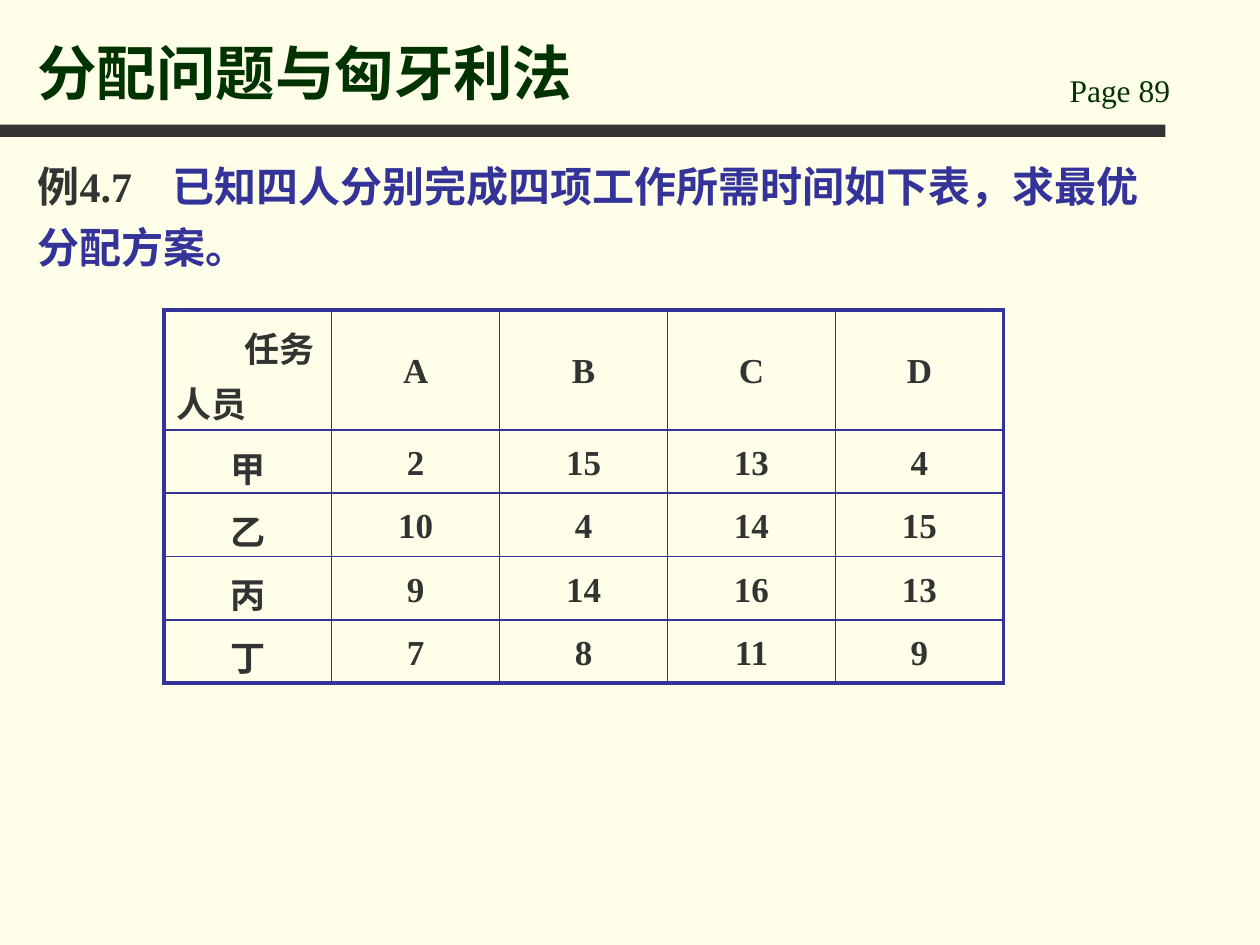
from dataclasses import dataclass

from lxml import etree
from pptx import Presentation
from pptx import util as u
from pptx.dml.color import RGBColor
from pptx.enum import lang, shapes, text
from pptx.oxml import ns

WIDTH, HEIGHT = u.Inches(10), u.Inches(7.5)
FONT = "Times New Roman"
PAPER, INK, GREEN, BLUE = "FFFFE9", "333333", "003300", "333399"
THICK, THIN = 2.25, 1
COLUMN_SHARE, HEADER_SHARE, ROW_SHARE = 0.1333, 0.127, 0.067
TASKS = ["A", "B", "C", "D"]
TIMES = {
    "甲": [2, 15, 13, 4],
    "乙": [10, 4, 14, 15],
    "丙": [9, 14, 16, 13],
    "丁": [7, 8, 11, 9],
}


@dataclass
class Area:
    """A rectangle given as shares of the slide's width and height."""

    left: float
    top: float
    width: float
    height: float

    def lengths(self) -> list[int]:
        """Return left, top, width and height as slide lengths."""
        return [
            int(share * size)
            for share, size in zip(
                (self.left, self.top, self.width, self.height),
                (WIDTH, HEIGHT, WIDTH, HEIGHT),
            )
        ]


@dataclass
class Span:
    """A run of text with one format."""

    words: str
    size: float
    color: str = INK
    bold: bool = True


@dataclass
class Spacing:
    """Line spacing, and space before as a share of the text size."""

    lines: float = 1
    before: float = 0


@dataclass
class Label:
    """A text box with one paragraph."""

    area: Area
    spans: list[Span]
    anchor: text.MSO_ANCHOR = text.MSO_ANCHOR.TOP
    spacing: Spacing | None = None
    tab: float = 0


CELL_SPACING = Spacing(1.1)
LABELS = [
    Label(Area(0.839, 0.069, 0.142, 0.053), [Span("Page 89", 18, GREEN, False)]),
    Label(
        Area(0.02, 0.016, 0.803, 0.104),
        [Span("分配问题与匈牙利法", 34, GREEN)],
        anchor=text.MSO_ANCHOR.BOTTOM,
    ),
    Label(
        Area(0.02, 0.153, 0.906, 0.147),
        [
            Span("例4.7\t", 24),
            Span("已知四人分别完成四项工作所需时间如下表，求最优分配方案。", 24, BLUE),
        ],
        spacing=Spacing(1.2, 0.15),
        tab=0.107,
    ),
]


def rgb(value: str) -> RGBColor:
    """Turn a hex string into a colour."""
    return RGBColor.from_string(value)


def apply(target, values: dict) -> None:
    """Set each named attribute of the target."""
    for name, value in values.items():
        setattr(target, name, value)


def write(para, spans: list[Span], spacing: Spacing | None,
          align=text.PP_ALIGN.LEFT) -> None:
    """Fill a paragraph with formatted spans."""
    para.alignment = align
    if spacing:
        before = u.Pt(spacing.before * spans[0].size)
        apply(para, {"line_spacing": spacing.lines, "space_before": before})
    for span in spans:
        run = para.add_run()
        run.text = span.words
        apply(run.font, {
            "name": FONT,
            "size": u.Pt(span.size),
            "bold": span.bold,
            "language_id": lang.MSO_LANGUAGE_ID.SIMPLIFIED_CHINESE,
        })
        run.font.color.rgb = rgb(span.color)


def add_label(page, label: Label) -> None:
    """Add a wrapped text box."""
    frame = page.shapes.add_textbox(*label.area.lengths()).text_frame
    apply(frame, {"word_wrap": True, "vertical_anchor": label.anchor})
    para = frame.paragraphs[0]
    write(para, label.spans, label.spacing)
    if label.tab:
        stops = etree.SubElement(para._p.get_or_add_pPr(), ns.qn("a:tabLst"))
        position = str(int(label.tab * WIDTH))
        etree.SubElement(stops, ns.qn("a:tab"), pos=position, algn="l")


def add_rule(page, area: Area) -> None:
    """Add the solid bar under the title."""
    bar = page.shapes.add_shape(shapes.MSO_SHAPE.RECTANGLE, *area.lengths())
    bar.shadow.inherit = False
    bar.fill.solid()
    bar.fill.fore_color.rgb = rgb(INK)
    bar.line.fill.background()


def set_borders(cell, weights: dict[str, float]) -> None:
    """Draw the cell's sides in the given order and weights."""
    properties = cell._tc.get_or_add_tcPr()
    for index, (side, weight) in enumerate(weights.items()):
        line = etree.Element(ns.qn(f"a:ln{side}"), w=str(u.Pt(weight)))
        fill = etree.SubElement(line, ns.qn("a:solidFill"))
        etree.SubElement(fill, ns.qn("a:srgbClr"), val=BLUE)
        properties.insert(index, line)


def add_times(page, left: float, top: float) -> None:
    """Add the table of working times by person and task."""
    rows = [["", *TASKS]] + [[name, *map(str, row)] for name, row in TIMES.items()]
    last_row, last_column = len(rows) - 1, len(TASKS)
    area = Area(left, top, COLUMN_SHARE * len(rows[0]),
                HEADER_SHARE + ROW_SHARE * len(TIMES))
    table = page.shapes.add_table(len(rows), len(rows[0]), *area.lengths()).table
    apply(table, {"first_row": False, "horz_banding": False})
    for column in table.columns:
        column.width = int(COLUMN_SHARE * WIDTH)
    for r, words in enumerate(rows):
        table.rows[r].height = int((ROW_SHARE if r else HEADER_SHARE) * HEIGHT)
        for c, word in enumerate(words):
            cell = table.cell(r, c)
            cell.vertical_anchor = text.MSO_ANCHOR.MIDDLE
            cell.fill.background()
            set_borders(cell, {
                "L": THIN if c else THICK,
                "R": THICK if c == last_column else THIN,
                "T": THIN if r else THICK,
                "B": THICK if r == last_row else THIN,
            })
            if word:
                write(cell.text_frame.paragraphs[0], [Span(word, 20)],
                      CELL_SPACING, text.PP_ALIGN.CENTER)
    corner = table.cell(0, 0)
    corner.margin_right = u.Inches(0.14)
    paras = corner.text_frame.paragraphs[0], corner.text_frame.add_paragraph()
    write(paras[0], [Span("任务", 20)], CELL_SPACING, text.PP_ALIGN.RIGHT)
    write(paras[1], [Span("人员", 20)], CELL_SPACING)


def main() -> None:
    """Build the slide and save the deck."""
    deck = Presentation()
    apply(deck, {"slide_width": WIDTH, "slide_height": HEIGHT})
    page = deck.slides.add_slide(deck.slide_layouts[6])
    page.background.fill.solid()
    page.background.fill.fore_color.rgb = rgb(PAPER)
    add_rule(page, Area(0, 0.132, 0.925, 0.013))
    for label in LABELS:
        add_label(page, label)
    add_times(page, 0.13, 0.328)
    deck.save("out.pptx")


if __name__ == "__main__":
    main()
